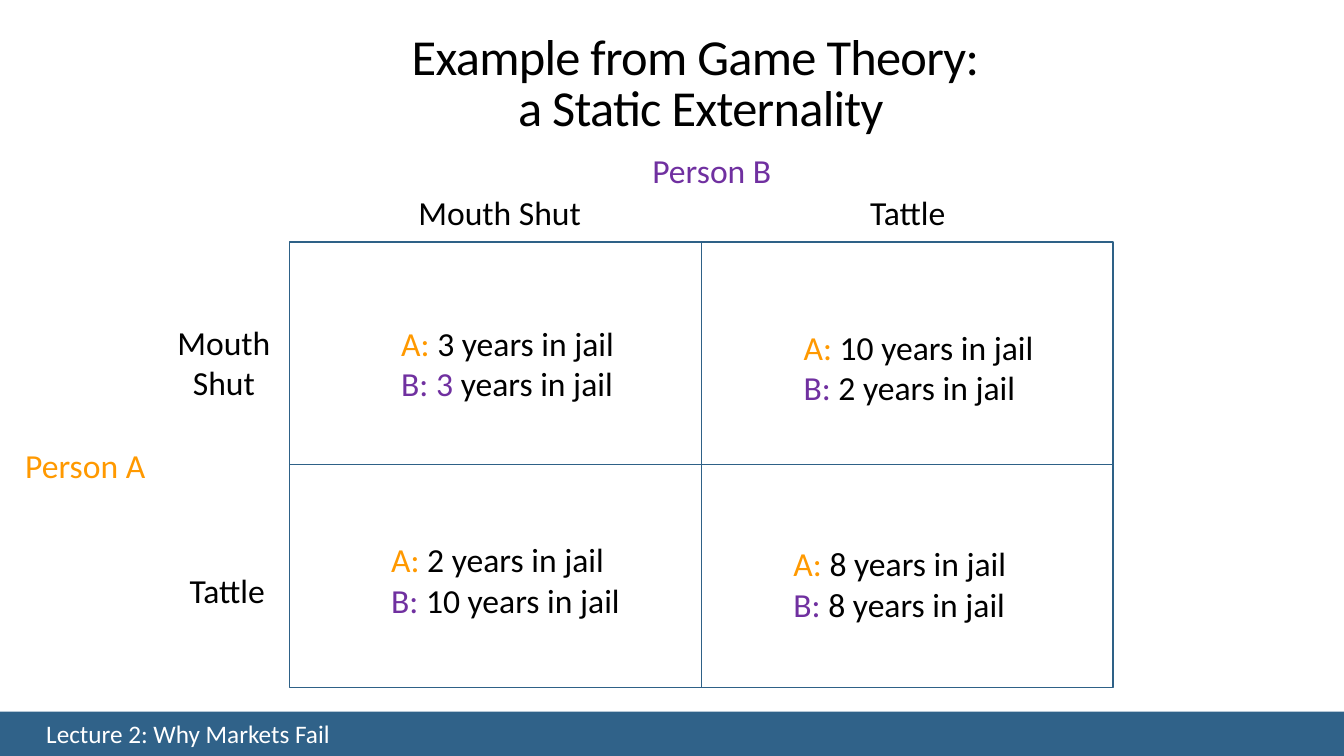
from dataclasses import dataclass

import lxml.etree
import pptx
import pptx.dml.color
import pptx.enum.shapes
import pptx.enum.text
import pptx.oxml.ns
import pptx.util

Inches = pptx.util.Inches
Align = pptx.enum.text.PP_ALIGN
Anchor = pptx.enum.text.MSO_ANCHOR


@dataclass(frozen=True)
class Theme:
    font: str = "Calibri"
    ink: str = "000000"
    white: str = "FFFFFF"
    person_a: str = "FF9900"
    person_b: str = "7030A0"
    bar: str = "306289"
    grid: str = "2E6187"
    title_size: int = 36
    body_size: int = 24
    footer_size: int = 18


@dataclass(frozen=True)
class Piece:
    text: str
    color: str


@dataclass(frozen=True)
class Label:
    left: float
    top: float
    width: float
    lines: tuple[tuple[Piece, ...], ...]
    height: float = 0.5
    align: Align = Align.LEFT
    indent: float = 0.5
    size: int = 24
    anchor: Anchor = Anchor.TOP


THEME = Theme()


def color_of(value: str) -> pptx.dml.color.RGBColor:
    return pptx.dml.color.RGBColor.from_string(value)


def format_span(span, size: int, color: str) -> None:
    span.font.name = THEME.font
    span.font.size = pptx.util.Pt(size)
    span.font.color.rgb = color_of(color)


def heading(text: str, left: float, top: float, width: float,
            color: str = THEME.ink, **options) -> Label:
    return Label(left, top, width, ((Piece(text, color),),), **options)


def payoff(left: float, top: float, width: float,
           a_term: str, b_term: str, b_mark: str = "B: ") -> Label:
    lines = (
        (Piece("A: ", THEME.person_a), Piece(a_term, THEME.ink)),
        (Piece(b_mark, THEME.person_b), Piece(b_term, THEME.ink)),
    )
    return Label(left, top, width, lines, height=0.91)


def draw_label(slide, label: Label) -> None:
    box = slide.shapes.add_textbox(Inches(label.left), Inches(label.top),
                                   Inches(label.width), Inches(label.height))
    frame = box.text_frame
    frame.word_wrap = True
    frame.vertical_anchor = label.anchor
    frame.margin_left = Inches(0.1 + label.indent)
    for index, line in enumerate(label.lines):
        para = frame.add_paragraph() if index else frame.paragraphs[0]
        para.alignment = label.align
        for piece in line:
            span = para.add_run()
            span.text = piece.text
            format_span(span, label.size, piece.color)


def draw_title(slide, text: str) -> None:
    title = slide.shapes.title
    title.left, title.top = Inches(3.38), Inches(0.54)
    title.width, title.height = Inches(7.14), Inches(0.87)
    frame = title.text_frame
    frame.text = text
    frame.word_wrap = True
    frame.auto_size = pptx.enum.text.MSO_AUTO_SIZE.NONE
    frame.vertical_anchor = Anchor.BOTTOM
    para = frame.paragraphs[0]
    para.alignment = Align.CENTER
    para.line_spacing = 0.85
    for span in para.runs:
        format_span(span, THEME.title_size, THEME.ink)
        span.font._element.set("spc", "-50")


def draw_footer(slide, text: str) -> None:
    bar = slide.shapes.add_shape(pptx.enum.shapes.MSO_SHAPE.RECTANGLE,
                                 0, Inches(7.06), Inches(13.33), Inches(0.46))
    bar.shadow.inherit = False
    bar.fill.solid()
    bar.fill.fore_color.rgb = color_of(THEME.bar)
    bar.line.fill.background()
    draw_label(slide, heading(text, 0.07, 7.12, 3.59, THEME.white, height=0.32,
                              align=Align.CENTER, indent=0,
                              size=THEME.footer_size, anchor=Anchor.MIDDLE))


def draw_divider(group, x1: float, y1: float, x2: float, y2: float) -> None:
    line = group.shapes.add_connector(pptx.enum.shapes.MSO_CONNECTOR.STRAIGHT,
                                      Inches(x1), Inches(y1), Inches(x2), Inches(y2))
    line.line.color.rgb = color_of(THEME.grid)
    line.line.width = pptx.util.Pt(0.5)
    lxml.etree.SubElement(line._element.spPr, pptx.oxml.ns.qn("a:effectLst"))


def draw_matrix(slide, left: float, top: float, width: float, height: float) -> None:
    group = slide.shapes.add_group_shape()
    frame = group.shapes.add_shape(pptx.enum.shapes.MSO_SHAPE.RECTANGLE, Inches(left),
                                   Inches(top), Inches(width), Inches(height))
    frame.shadow.inherit = False
    frame.fill.background()
    frame.line.color.rgb = color_of(THEME.grid)
    frame.line.width = pptx.util.Pt(1)
    middle_x, middle_y = left + width / 2, top + height / 2
    draw_divider(group, middle_x, top, middle_x, top + height)
    draw_divider(group, left, middle_y, left + width, middle_y)


LABELS = (
    heading("Person A", -0.35, 4.36, 2.16, THEME.person_a),
    heading("Person B", 5.87, 1.44, 2.16, THEME.person_b),
    heading("Mouth Shut", 0.98, 3.14, 1.98, height=0.91, align=Align.CENTER),
    heading("Tattle", 1.28, 5.6, 1.56),
    heading("Mouth Shut", 3.54, 1.85, 2.33, align=Align.CENTER),
    heading("Tattle", 8.03, 1.85, 1.56),
    payoff(3.38, 3.15, 2.84, "3 years in jail", " years in jail", "B: 3"),
    payoff(7.37, 3.19, 3.15, "10 years in jail", "2 years in jail"),
    payoff(3.28, 5.3, 3.06, "2 years in jail", "10 years in jail"),
    payoff(7.27, 5.34, 2.84, "8 years in jail", "8 years in jail"),
)


def main() -> None:
    deck = pptx.Presentation()
    deck.slide_width, deck.slide_height = Inches(13.33), Inches(7.5)
    page = deck.slides.add_slide(deck.slide_layouts[5])
    draw_footer(page, "Lecture 2: Why Markets Fail")
    draw_title(page, "Example from Game Theory: \va Static Externality")
    draw_matrix(page, 2.87, 2.4, 8.17, 4.42)
    for label in LABELS:
        draw_label(page, label)
    deck.save("out.pptx")


if __name__ == "__main__":
    main()
